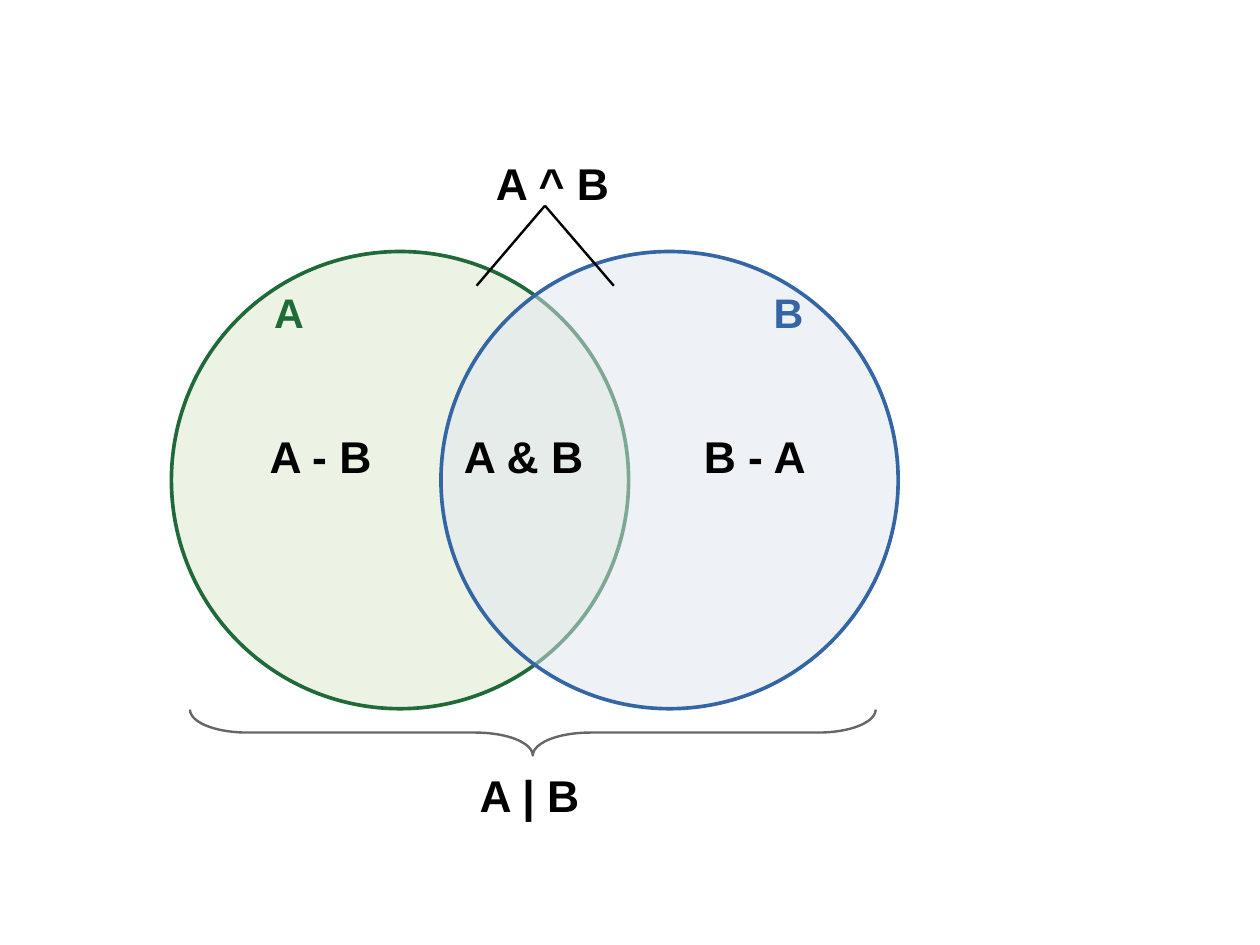
from lxml import etree
from pptx import Presentation
from pptx.dml.color import RGBColor
from pptx.enum import shapes, text
from pptx.oxml.ns import qn
from pptx.util import Cm, Pt

GREEN, BLUE, BLACK, GREY = "1E6A39", "3465A4", "000000", "666666"

# Content, lengths in cm
DIAMETER, CIRCLE_TOP = 10.16, 5.59
CIRCLES = [(3.81, "DDE8CB", GREEN), (9.8, "DEE6EF", BLUE)]  # left, fill, outline
LABEL_HEIGHT = 1.35
LABELS = [  # wording, left, top, width, size, colour
    ("A - B", 5.74, 9.4, 3.05, 28, BLACK),
    ("A & B", 10.06, 9.4, 3.56, 28, BLACK),
    ("B - A", 15.39, 9.4, 2.79, 28, BLACK),
    ("A | B", 10.41, 16.94, 3.3, 28, BLACK),
    ("A ^ B", 10.77, 3.35, 3.3, 28, BLACK),
    ("A", 5.84, 6.27, 1.27, 26, GREEN),
    ("B", 16.94, 6.27, 1.27, 26, BLUE),
]
APEX = (12.11, 4.57)
FEET = [(10.59, 6.35), (13.64, 6.35)]
BRACE_CENTRE, BRACE_SPAN, BRACE_DEPTH = (11.84, 16.28), 15.24, 1.02


def colour(hex_code):
    return RGBColor.from_string(hex_code)


def outline(part, hex_code, points):
    part.line.color.rgb = colour(hex_code)
    part.line.width = Pt(points)


prs = Presentation()
prs.slide_width, prs.slide_height = Cm(28), Cm(21)
slide = prs.slides.add_slide(prs.slide_layouts[6])

# Overlapping half-transparent circles
for left, fill, edge in CIRCLES:
    circle = slide.shapes.add_shape(shapes.MSO_SHAPE.OVAL, Cm(left), Cm(CIRCLE_TOP),
                                    Cm(DIAMETER), Cm(DIAMETER))
    circle.shadow.inherit = False
    circle.fill.solid()
    circle.fill.fore_color.rgb = colour(fill)
    solid = circle.fill._xPr.find(qn("a:solidFill"))
    etree.SubElement(solid[0], qn("a:alpha"), val="50000")
    outline(circle, edge, 2.3)

# Brace under the union: a right brace turned to point down
centre_x, centre_y = BRACE_CENTRE
brace = slide.shapes.add_shape(
    shapes.MSO_SHAPE.RIGHT_BRACE,
    Cm(centre_x - BRACE_DEPTH / 2), Cm(centre_y - BRACE_SPAN / 2),
    Cm(BRACE_DEPTH), Cm(BRACE_SPAN))
brace.rotation = 90
brace.adjustments[0] = 1.25
brace.shadow.inherit = False
brace.fill.background()
outline(brace, GREY, 1.5)

# Pointers from the symmetric difference to both circles
for foot in FEET:
    pointer = slide.shapes.add_connector(shapes.MSO_CONNECTOR.STRAIGHT,
                                         *map(Cm, foot + APEX))
    outline(pointer, BLACK, 1.5)
    etree.SubElement(pointer._element.spPr, qn("a:effectLst"))

# Labels
for wording, left, top, width, size, ink in LABELS:
    label = slide.shapes.add_textbox(Cm(left), Cm(top), Cm(width), Cm(LABEL_HEIGHT))
    frame = label.text_frame
    frame.word_wrap = True
    frame.auto_size = text.MSO_AUTO_SIZE.SHAPE_TO_FIT_TEXT
    frame.text = wording
    font = frame.paragraphs[0].runs[0].font
    font.name, font.size, font.bold = "Arial", Pt(size), True
    font.color.rgb = colour(ink)

prs.save("out.pptx")
